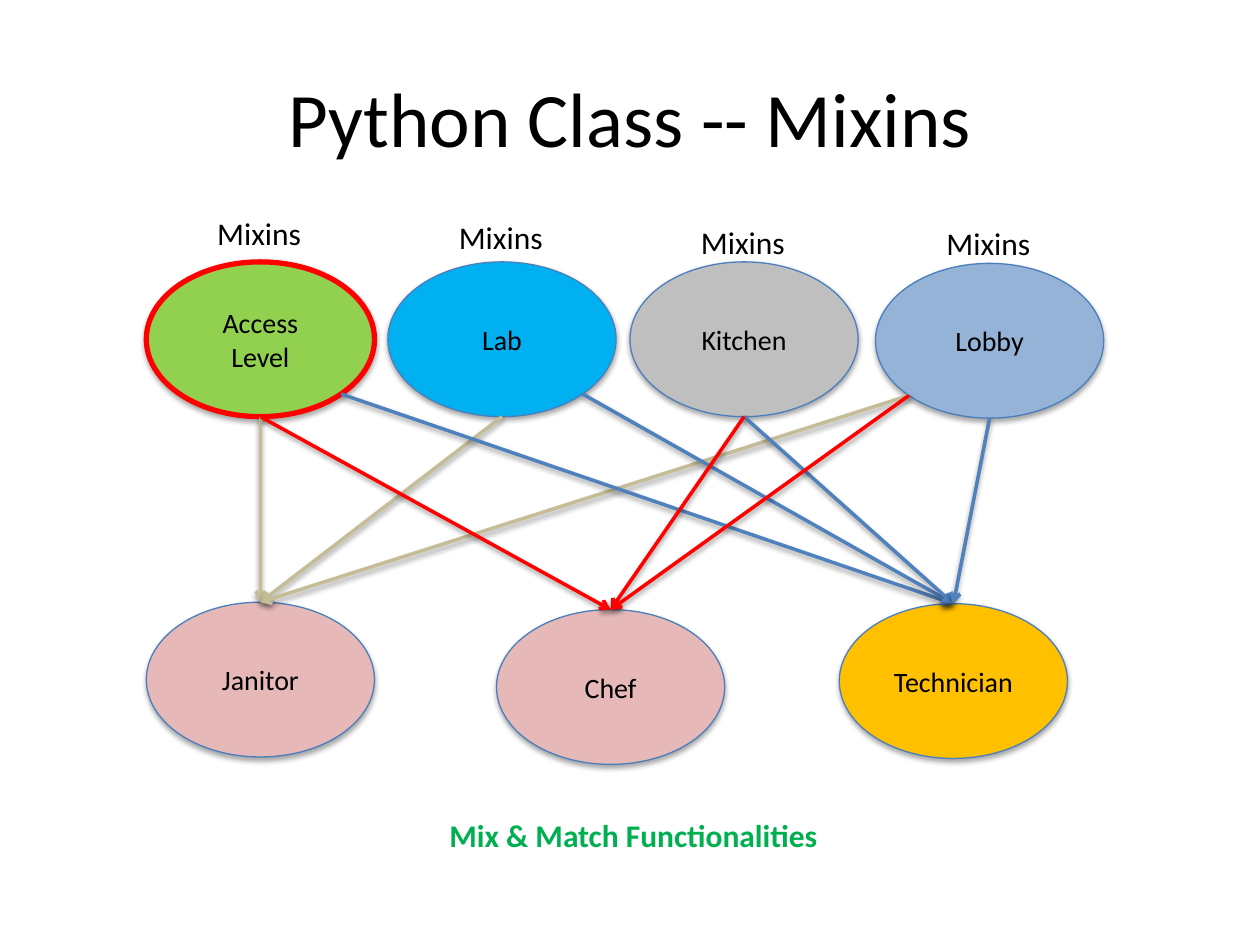
from dataclasses import dataclass
from math import sqrt

from lxml import etree
from pptx import Presentation
from pptx.dml.color import RGBColor
from pptx.enum import shapes, text
from pptx.oxml import ns
from pptx.util import Cm, Pt


@dataclass(frozen=True)
class Theme:
    font: str = "Calibri"
    black: str = "000000"
    green: str = "00B050"
    lime: str = "92D050"
    cyan: str = "00B0F0"
    gray: str = "BFBFBF"
    periwinkle: str = "95B3D7"
    pink: str = "E6B9B8"
    amber: str = "FFC000"
    outline: str = "4B7EBC"
    red: str = "FF0000"
    tan: str = "C4BD97"
    blue: str = "4F81BD"
    title_size: int = 44
    label_size: int = 18
    node_size: int = 16


THEME = Theme()
NODE_WIDTH, NODE_HEIGHT = 4.6, 3.12
LABEL_WIDTH, LABEL_HEIGHT = 2.24, 1.02
BOTTOM = (0, 1)
BOTTOM_LEFT = (-sqrt(0.5), sqrt(0.5))
BOTTOM_RIGHT = (sqrt(0.5), sqrt(0.5))
TOP = (0, -1)

MIXINS = {
    "Access": (["Access", "Level"], 2.95, 5.28, 4.19, THEME.lime, THEME.red, 3),
    "Lab": (["Lab"], 7.82, 5.28, 4.27, THEME.cyan, THEME.outline, 0.75),
    "Kitchen": (["Kitchen"], 12.7, 5.28, 4.37, THEME.gray, THEME.outline, 0.75),
    "Lobby": (["Lobby"], 17.65, 5.31, 4.39, THEME.periwinkle, THEME.outline, 0.75),
}
ROLES = [
    ("Janitor", 2.95, 12.14, THEME.pink, THEME.tan,
     [("Access", BOTTOM), ("Lab", BOTTOM), ("Lobby", BOTTOM_LEFT)]),
    ("Technician", 16.92, 12.17, THEME.amber, THEME.blue,
     [("Access", BOTTOM_RIGHT), ("Lab", BOTTOM_RIGHT), ("Kitchen", BOTTOM), ("Lobby", BOTTOM)]),
    ("Chef", 10.01, 12.29, THEME.pink, THEME.red,
     [("Access", BOTTOM), ("Kitchen", BOTTOM), ("Lobby", BOTTOM_LEFT)]),
]


def color(value):
    return RGBColor.from_string(value)


def add_shadow(shape, distance, opacity):
    properties = shape._element.spPr
    effects = etree.SubElement(properties, ns.qn("a:effectLst"))
    shadow = etree.SubElement(
        effects, ns.qn("a:outerShdw"), blurRad=str(Pt(3.1)), dist=str(Pt(distance)),
        dir="5400000", rotWithShape="0")
    tint = etree.SubElement(shadow, ns.qn("a:srgbClr"), val=THEME.black)
    etree.SubElement(tint, ns.qn("a:alpha"), val=str(opacity * 1000))


def write_lines(frame, lines, size, font_color, bold=False, alignment=text.PP_ALIGN.CENTER):
    for index, line in enumerate(lines):
        paragraph = frame.add_paragraph() if index else frame.paragraphs[0]
        paragraph.alignment = alignment
        run = paragraph.add_run()
        run.text = line
        run.font.name = THEME.font
        run.font.size = Pt(size)
        run.font.bold = bold
        run.font.color.rgb = color(font_color)


def add_label(slide, words, left, top, width, height, size, font_color=THEME.black, bold=False):
    shape = slide.shapes.add_textbox(Cm(left), Cm(top), Cm(width), Cm(height))
    frame = shape.text_frame
    frame.word_wrap = False
    frame.auto_size = text.MSO_AUTO_SIZE.SHAPE_TO_FIT_TEXT
    write_lines(frame, [words], size, font_color, bold, text.PP_ALIGN.LEFT)


def add_title(slide, words):
    shape = slide.shapes.add_textbox(Cm(1.27), Cm(0.76), Cm(22.86), Cm(3.18))
    frame = shape.text_frame
    frame.word_wrap = True
    frame.vertical_anchor = text.MSO_ANCHOR.MIDDLE
    write_lines(frame, [words], THEME.title_size, THEME.black)


def add_node(slide, lines, left, top, fill, outline=THEME.outline, weight=0.75):
    shape = slide.shapes.add_shape(
        shapes.MSO_SHAPE.OVAL, Cm(left), Cm(top), Cm(NODE_WIDTH), Cm(NODE_HEIGHT))
    shape.fill.solid()
    shape.fill.fore_color.rgb = color(fill)
    shape.line.color.rgb = color(outline)
    shape.line.width = Pt(weight)
    add_shadow(shape, 1.8, 35)
    shape.text_frame.vertical_anchor = text.MSO_ANCHOR.MIDDLE
    write_lines(shape.text_frame, lines, THEME.node_size, THEME.black)
    return shape


def edge_point(node, direction):
    across, down = direction
    return (round(node.left + node.width * (1 + across) / 2),
            round(node.top + node.height * (1 + down) / 2))


def add_arrow(slide, start, end, line_color):
    connector = slide.shapes.add_connector(shapes.MSO_CONNECTOR.STRAIGHT, *start, *end)
    connector.line.color.rgb = color(line_color)
    connector.line.width = Pt(2)
    etree.SubElement(connector.line._get_or_add_ln(), ns.qn("a:tailEnd"), type="arrow")
    add_shadow(connector, 1.6, 38)


def main():
    presentation = Presentation()
    presentation.slide_width, presentation.slide_height = Cm(25.4), Cm(19.05)
    slide = presentation.slides.add_slide(presentation.slide_layouts[6])
    add_title(slide, "Python Class -- Mixins")
    add_label(slide, "Mix & Match Functionalities", 8.81, 16.33, 8, LABEL_HEIGHT,
              THEME.label_size, THEME.green, True)

    mixins = {}
    for name, (lines, left, top, label_top, fill, outline, weight) in MIXINS.items():
        mixins[name] = add_node(slide, lines, left, top, fill, outline, weight)
        add_label(slide, "Mixins", left + (NODE_WIDTH - LABEL_WIDTH) / 2, label_top,
                  LABEL_WIDTH, LABEL_HEIGHT, THEME.label_size)

    for name, left, top, fill, line_color, sources in ROLES:
        role = add_node(slide, [name], left, top, fill)
        for mixin, direction in sources:
            add_arrow(slide, edge_point(mixins[mixin], direction),
                      edge_point(role, TOP), line_color)

    presentation.save("out.pptx")


main()
